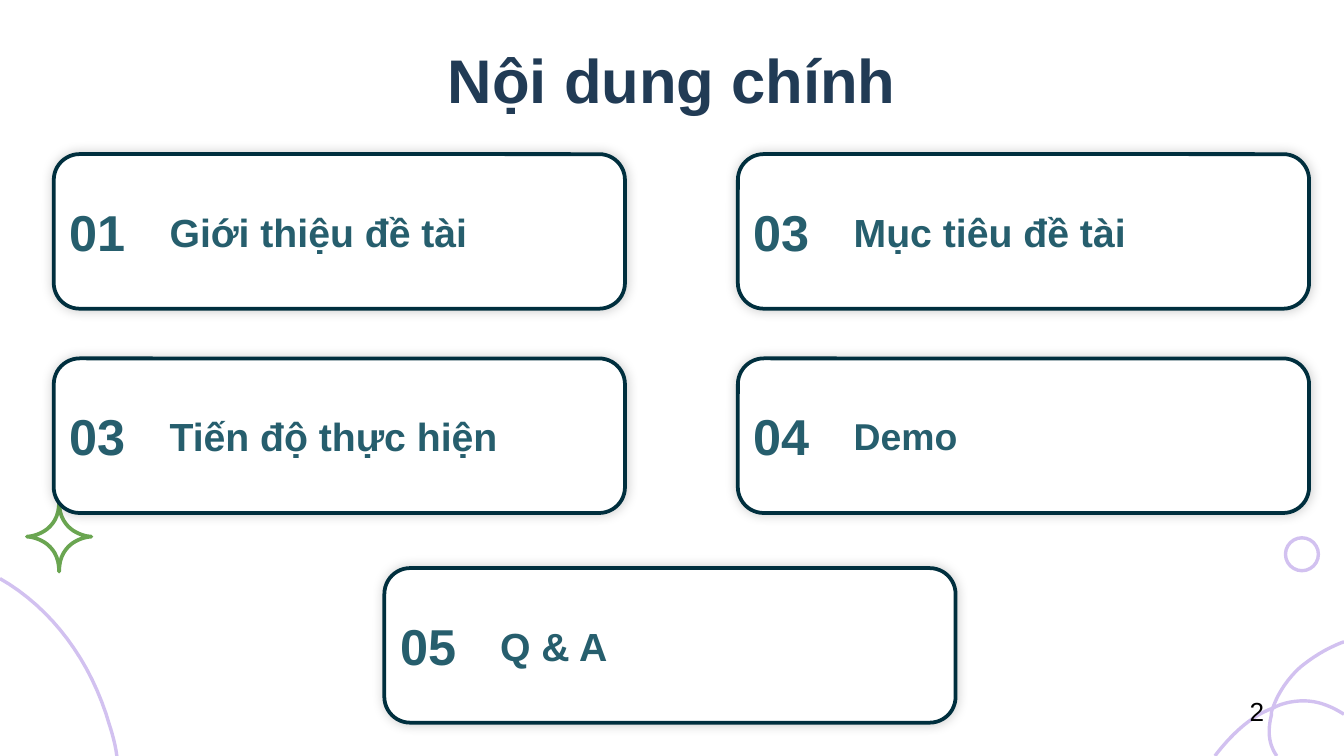
from collections import namedtuple
from lxml.etree import SubElement
from pptx import Presentation
from pptx.dml.color import RGBColor
from pptx.enum.shapes import MSO_SHAPE as Preset
from pptx.enum.text import MSO_ANCHOR as Anchor, PP_ALIGN as Align
from pptx.oxml.ns import qn
from pptx.util import Inches, Pt

Box = namedtuple("Box", "left top width height")
CELL = Inches(0.1)
COLUMNS, ROWS = 100, 56.25
COLORS = {"title": "213B55", "label": "265E6D", "border": "002F3E", "card": "FFFFFF",
          "lilac": "D2C1F0", "green": "6AA551", "page": "000000", "shadow": "000000"}
CARD_SIZE = (42.5, 11.5)
LEFT, RIGHT, MIDDLE = 4, 54.9, 28.6
FIRST_ROW, SECOND_ROW, THIRD_ROW = 11.47, 26.67, 42.27
AGENDA = [
    ("01", "Giới thiệu đề tài", LEFT, FIRST_ROW, 21),
    ("03", "Mục tiêu đề tài", RIGHT, FIRST_ROW, 21),
    ("03", "Tiến độ thực hiện", LEFT, SECOND_ROW, 21),
    ("04", "Demo", RIGHT, SECOND_ROW, 20),
    ("05", "Q & A", MIDDLE, THIRD_ROW, 21),
]
SWEEPS = [
    [(0, 43.05), (3.85, 45.25), (6.8, 49.2), (8.15, 53.95),
     (8.4, 54.7), (8.6, 55.5), (8.7, ROWS)],
    [(100, 47.75), (98.8, 48.2), (97.8, 48.8), (96.8, 49.6),
     (95.9, 50.4), (95.1, 51.5), (94.7, 52.7),
     (94.6, 52.9), (94.6, 53), (94.6, 53.2),
     (94.3, 54.4), (94.4, 55.4), (95, ROWS)],
    [(90.4, ROWS), (91.5, 54.8), (93, 53.3), (94.7, 52.7),
     (95.4, 52.3), (96.3, 52.15), (97, 52.15),
     (98, 52.15), (99, 52.5), (100, 53.15)],
]


def emu(box):
    """Turn a box in grid cells into slide lengths."""
    return [round(length * CELL) for length in box]


def color(name):
    """Look up a colour by its role."""
    return RGBColor.from_string(COLORS[name])


def add_text(slide, box, text, size, ink, bold=True, anchor=Anchor.TOP,
             align=Align.LEFT, inset=(1, 1), indent=0):
    """Place one line of text in a box."""
    label = slide.shapes.add_textbox(*emu(box))
    frame = label.text_frame
    frame.word_wrap = True
    frame.vertical_anchor = anchor
    frame.margin_left = frame.margin_right = round(inset[0] * CELL)
    frame.margin_top = frame.margin_bottom = round(inset[1] * CELL)
    frame.text = text
    paragraph = frame.paragraphs[0]
    paragraph.alignment = align
    properties = paragraph._p.get_or_add_pPr()
    properties.set("marL", str(round(indent * CELL)))
    properties.set("indent", "0")
    font = paragraph.runs[0].font
    font.name, font.size, font.bold = "Arial", Pt(size), bold
    font.color.rgb = color(ink)


def outline(shape, ink, width):
    """Give a shape a plain line and no shadow."""
    shape.shadow.inherit = False
    shape.line.color.rgb = color(ink)
    shape.line.width = Pt(width)


def curve_points(controls, steps=16):
    """Sample a chain of cubic curves."""
    points = [controls[0]]
    for start in range(0, len(controls) - 1, 3):
        a, b, c, d = controls[start:start + 4]
        for step in range(1, steps + 1):
            t = step / steps
            weights = ((1 - t) ** 3, 3 * t * (1 - t) ** 2, 3 * t * t * (1 - t), t ** 3)
            points.append(tuple(sum(w * p[axis] for w, p in zip(weights, (a, b, c, d)))
                                for axis in (0, 1)))
    return points


def add_curve(slide, box, controls, ink, width, close=False):
    """Draw a smooth unfilled line, offset by the corner of a box."""
    points = [emu((box.left + x, box.top + y)) for x, y in curve_points(controls)]
    builder = slide.shapes.build_freeform(*points[0])
    builder.add_line_segments(points[1:], close=close)
    curve = builder.convert_to_shape()
    curve.fill.background()
    outline(curve, ink, width)


def add_sparkle(slide, box):
    """Draw a four-pointed star that fills a box."""
    center_x, center_y = box.width / 2, box.height / 2
    quarter = [(0, -1), (0, -0.12), (0.85, 0), (1, 0)]
    mirrored = [(-x, y) for x, y in quarter]
    lower = [(x, -y) for x, y in quarter]
    lower_left = [(-x, -y) for x, y in quarter]
    star = quarter + lower[::-1][1:] + lower_left[1:] + mirrored[::-1][1:]
    controls = [(center_x * (1 + x), center_y * (1 + y)) for x, y in star]
    add_curve(slide, box, controls, "green", 2, close=True)


def add_decor(slide, box):
    """Draw the ring, sparkle and sweeping lines around the edges."""
    ring_box = Box(box.left + 95.65, box.top + 40.02, 2.45, 2.45)
    ring = slide.shapes.add_shape(Preset.OVAL, *emu(ring_box))
    ring.fill.background()
    outline(ring, "lilac", 1.8)
    add_sparkle(slide, Box(box.left + 2, box.top + 37.33, 4.8, 5.2))
    for sweep in SWEEPS:
        add_curve(slide, box, sweep, "lilac", 1.8)


def add_glow(shape):
    """Put a soft, centred shadow behind a shape."""
    effects = shape._element.spPr.find(qn("a:effectLst"))
    shadow = SubElement(effects, qn("a:outerShdw"), blurRad=str(Pt(6)), dist="0",
                        dir="0", algn="ctr", rotWithShape="0")
    tint = SubElement(shadow, qn("a:srgbClr"), val=COLORS["shadow"])
    SubElement(tint, qn("a:alpha"), val="20000")


def add_card(slide, box, number, topic, topic_size):
    """Draw one agenda card with its number and topic."""
    card = slide.shapes.add_shape(Preset.ROUNDED_RECTANGLE, *emu(box))
    card.adjustments[0] = 0.167
    card.fill.solid()
    card.fill.fore_color.rgb = color("card")
    outline(card, "border", 2)
    add_glow(card)
    number_box = box._replace(left=box.left - 1.2, width=7.6)
    topic_box = box._replace(left=box.left + 7.63, width=box.width - 7.63)
    add_text(slide, number_box, number, 27, "label", anchor=Anchor.MIDDLE, indent=1.4)
    add_text(slide, topic_box, topic, topic_size, "label", anchor=Anchor.MIDDLE)


def build_agenda(slide, box):
    """Lay out the agenda slide inside a box."""
    add_decor(slide, box)
    title_box = Box(box.left + 4.3, box.top + 2.1, box.width - 8.6, 7.6)
    add_text(slide, title_box, "Nội dung chính", 33, "title", align=Align.CENTER)
    for number, topic, column, row, size in AGENDA:
        card_box = Box(box.left + column, box.top + row, *CARD_SIZE)
        add_card(slide, card_box, number, topic, size)
    page_box = Box(box.left + 92, box.top + 51.23, 3, 3.4)
    add_text(slide, page_box, "2", 14, "page", bold=False, inset=(1, 0.5))


def main():
    """Build and save the presentation."""
    deck = Presentation()
    deck.slide_width, deck.slide_height = emu((COLUMNS, ROWS))
    slide = deck.slides.add_slide(deck.slide_layouts[6])
    build_agenda(slide, Box(0, 0, COLUMNS, ROWS))
    deck.save("out.pptx")


if __name__ == "__main__":
    main()
